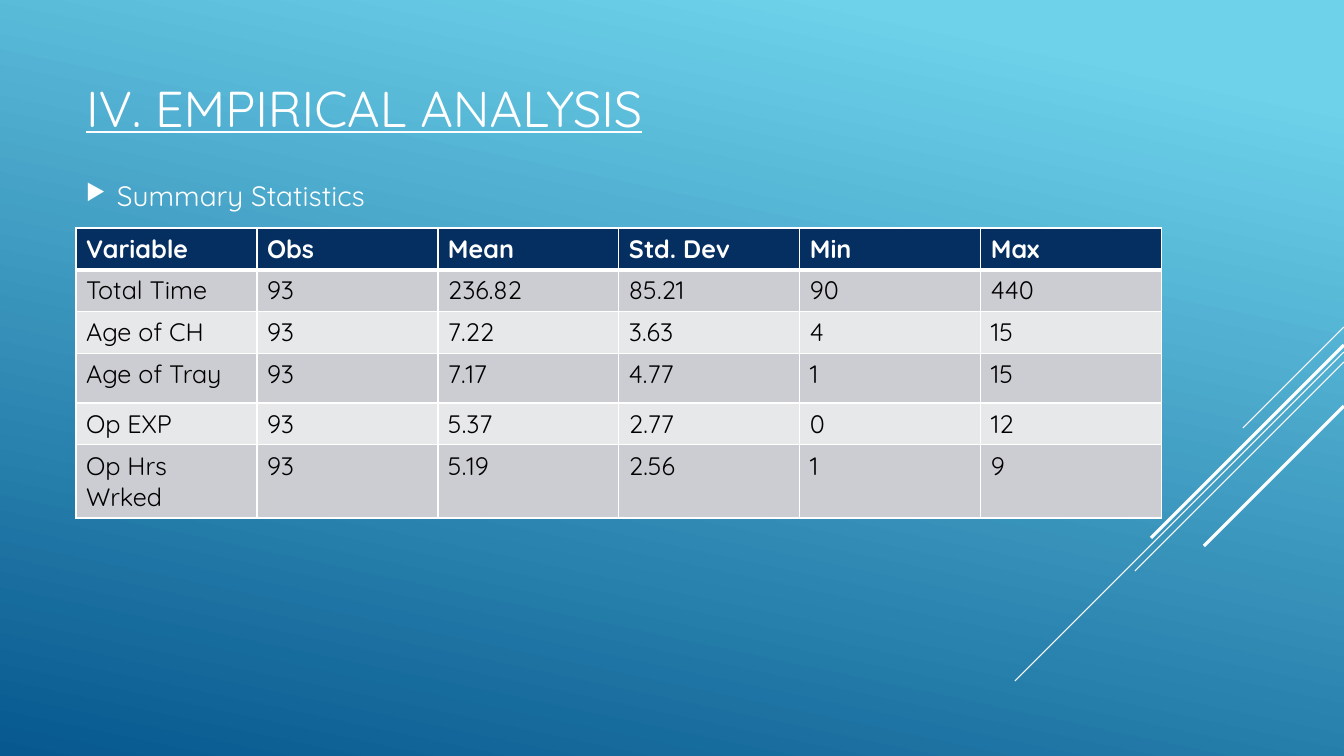
from lxml import etree
from pptx import Presentation
from pptx.dml.color import RGBColor
from pptx.enum import shapes, text
from pptx.oxml import ns
from pptx import util as u

WIDTH, HEIGHT = 1344, 756
WHITE, BLACK, NAVY = "FFFFFF", "000000", "052F61"
BANDS = "CCCDD2", "E7E8EA"

STATISTICS = [
    ("Variable", "Obs", "Mean", "Std. Dev", "Min", "Max"),
    ("Total Time", "93", "236.82", "85.21", "90", "440"),
    ("Age of CH", "93", "7.22", "3.63", "4", "15"),
    ("Age of Tray", "93", "7.17", "4.77", "1", "15"),
    ("Op EXP", "93", "5.37", "2.77", "0", "12"),
    ("Op Hrs Wrked", "93", "5.19", "2.56", "1", "9"),
]
ROW_HEIGHTS = 41, 41, 41, 50, 41, 73

# Start height on the right edge, run down to the left, weight in points
DIAGONALS = [(327, 101, 0.75), (352, 329, 0.75), (362, 209, 0.75),
             (345, 193, 2.25), (406, 140, 2.25)]


def px(length):
    return u.Emu(round(length * u.Inches(13.3333) / WIDTH))


def color(value):
    return RGBColor.from_string(value)


def add_xml(parent, tag, **attributes):
    return etree.SubElement(parent, ns.qn(tag), attributes)


class SlideBuilder:
    """Holds the slide and its type style."""
    font = "Quicksand"

    def __init__(self, presentation):
        self.slide = presentation.slides.add_slide(presentation.slide_layouts[5])

    def format_text(self, paragraph, size, value, bold=False, underline=False):
        paragraph.alignment = text.PP_ALIGN.LEFT
        for run in paragraph.runs:
            font = run.font
            font.name, font.size = self.font, u.Pt(size)
            font.bold, font.underline = bold, underline
            font.color.rgb = color(value)

    def background(self, start, end, clockwise):
        fill = self.slide.background.fill
        fill.gradient()
        fill.gradient_angle = 360 - clockwise
        for stop, (position, value) in zip(fill.gradient_stops, (start, end)):
            stop.position, stop.color.rgb = position, color(value)

    def diagonal(self, top, run, weight):
        stroke = self.slide.shapes.add_connector(
            shapes.MSO_CONNECTOR.STRAIGHT,
            px(WIDTH), px(top), px(WIDTH - run), px(top + run))
        stroke.line.color.rgb = color(WHITE)
        stroke.line.width = u.Pt(weight)
        add_xml(stroke._element.spPr, "a:effectLst")

    def title(self, wording, left, top, width, height):
        heading = self.slide.shapes.title
        heading.left, heading.top = px(left), px(top)
        heading.width, heading.height = px(width), px(height)
        frame = heading.text_frame
        frame.text = wording
        frame.auto_size = text.MSO_AUTO_SIZE.NONE
        frame.vertical_anchor = text.MSO_ANCHOR.MIDDLE
        self.format_text(frame.paragraphs[0], 36, WHITE, underline=True)

    def bullet(self, wording, left, top, width, height):
        box = self.slide.shapes.add_textbox(px(left), px(top), px(width), px(height))
        frame = box.text_frame
        frame.word_wrap = True
        frame.vertical_anchor = text.MSO_ANCHOR.MIDDLE
        frame.text = wording
        point = frame.paragraphs[0]
        point.space_before, point.space_after = u.Pt(4), u.Pt(6)
        self.format_text(point, 20, WHITE)
        properties = point._p.get_or_add_pPr()
        properties.set("marL", str(px(31)))
        properties.set("indent", str(-px(31)))
        add_xml(add_xml(properties, "a:buClr"), "a:srgbClr", val=WHITE)
        add_xml(properties, "a:buSzPct", val="80000")
        add_xml(properties, "a:buChar", char="▶")

    def border(self, cell, side, weight):
        line = add_xml(cell._tc.get_or_add_tcPr(), f"a:ln{side}", w=str(u.Pt(weight)))
        add_xml(add_xml(line, "a:solidFill"), "a:srgbClr", val=WHITE)

    def table(self, rows, heights, left, top, column_width):
        columns = len(rows[0])
        grid = self.slide.shapes.add_table(
            len(rows), columns, px(left), px(top),
            px(column_width * columns), px(sum(heights))).table
        for column in grid.columns:
            column.width = px(column_width)
        for r, (values, height) in enumerate(zip(rows, heights)):
            header = r == 0
            grid.rows[r].height = px(height)
            for c, value in enumerate(values):
                cell = grid.cell(r, c)
                cell.text_frame.text = value
                self.format_text(cell.text_frame.paragraphs[0], 18,
                                 WHITE if header else BLACK, bold=header)
                # The header's thick lower border also tops the first data row
                for side in "LRTB" if header else "LRB":
                    self.border(cell, side, 3 if header and side == "B" else 1)
                cell.fill.solid()
                cell.fill.fore_color.rgb = color(NAVY if header else BANDS[(r - 1) % 2])


def main():
    presentation = Presentation()
    presentation.slide_width, presentation.slide_height = px(WIDTH), px(HEIGHT)
    builder = SlideBuilder(presentation)
    builder.background((0.1, "6ED2EB"), (1, "06588E"), clockwise=102)
    for diagonal in DIAGONALS:
        builder.diagonal(*diagonal)
    builder.title("IV. EMPIRICAL ANALYSIS", 76, 24, 940, 166)
    builder.table(STATISTICS, ROW_HEIGHTS, 76, 228, column_width=181)
    builder.bullet("Summary Statistics", 76, 162, 1027, 66)
    presentation.save("out.pptx")


if __name__ == "__main__":
    main()
